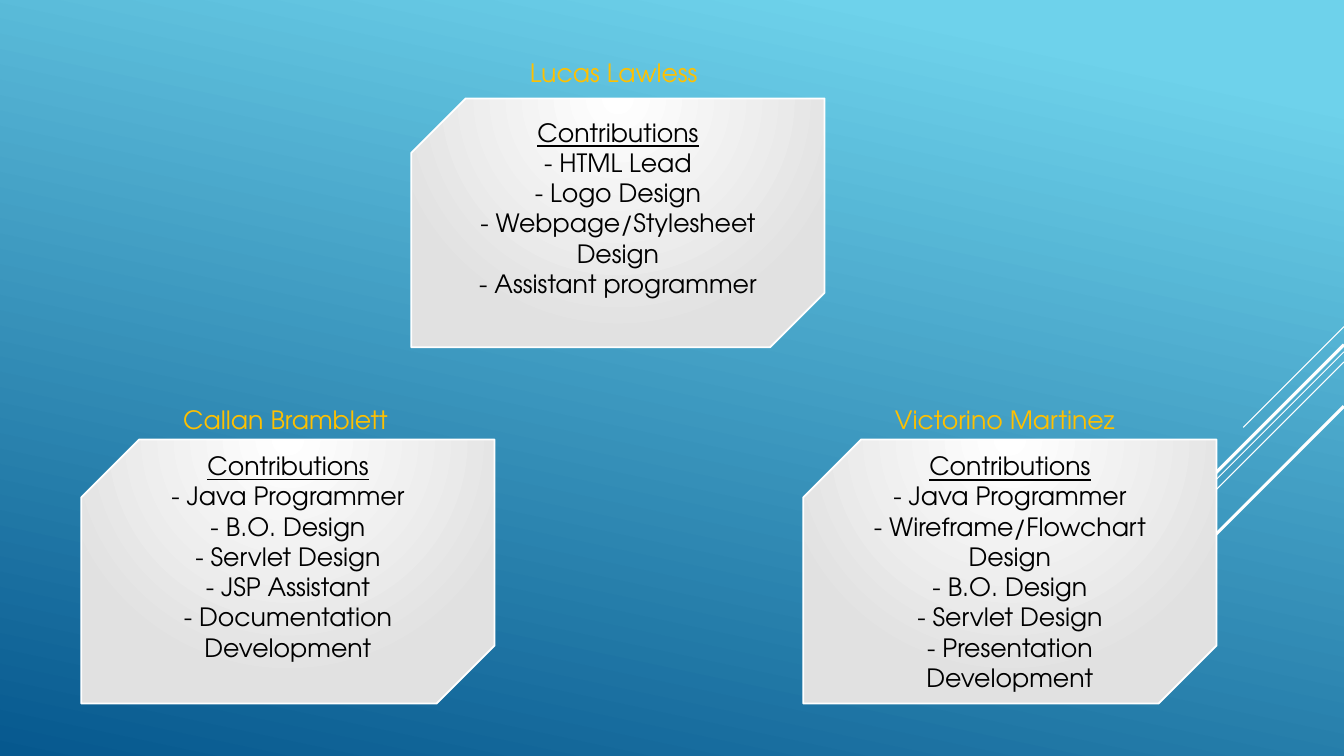
"""Build a slide of team members and their contributions."""
from lxml import etree
from pptx import Presentation
from pptx.dml.color import RGBColor
from pptx.enum import shapes, text
from pptx.oxml import ns
from pptx.util import Pt

# Each member: name, name left, name top, name width, card left, card top, card height, space below text
MEMBERS = [
    ("Lucas Lawless", (371.5, 37.4, 139.7), (293.8, 70.3, 177.8), 25.2,
     ["HTML Lead", "Logo Design", "Webpage/Stylesheet Design", "Assistant programmer"]),
    ("Callan Bramblett", (123.8, 285.1, 164.2), (58.1, 313.9, 188.6), 25.2,
     ["Java Programmer", "B.O. Design", "Servlet Design", "JSP Assistant",
      "Documentation Development"]),
    ("Victorino Martinez", (632.2, 285.1, 177.8), (573.8, 313.9, 188.6), 3.6,
     ["Java Programmer", "Wireframe/Flowchart Design", "B.O. Design", "Servlet Design",
      "Presentation Development"]),
]
HEADING = "Contributions"
STREAKS = [(233.3, 72, 0.75), (251.3, 234.7, 0.75), (258.5, 149, 0.75),
           (246.2, 137.5, 2.25), (290.2, 100, 2.25)]

WIDTH, HEIGHT = 960, 540
CARD_WIDTH, NAME_HEIGHT = 295.2, 29
FONT = "TeX Gyre Adventor"
SKY = RGBColor(0x6E, 0xD2, 0xEB)
NAVY = RGBColor(0x06, 0x58, 0x8E)
WHITE = RGBColor(0xFF, 0xFF, 0xFF)
GREY = RGBColor(0xE1, 0xE1, 0xE1)
BLACK = RGBColor(0, 0, 0)
GOLD = RGBColor(0xFF, 0xC0, 0x00)


def set_gradient(fill, stops):
    fill.gradient()
    for stop, (position, color) in zip(fill.gradient_stops, stops):
        stop.position = position
        stop.color.rgb = color


def style(p, color):
    for r in p.runs:
        r.font.name = FONT
        r.font.size = Pt(18)
        r.font.color.rgb = color


def add_streak(s, top, run, weight):
    line = s.shapes.add_connector(shapes.MSO_CONNECTOR.STRAIGHT,
                                  Pt(WIDTH), Pt(top), Pt(WIDTH - run), Pt(top + run))
    line.line.color.rgb = WHITE
    line.line.width = Pt(weight)
    etree.SubElement(line._element.spPr, ns.qn("a:effectLst"))


def add_name(s, name, left, top, width):
    sp = s.shapes.add_textbox(Pt(left), Pt(top), Pt(width), Pt(NAME_HEIGHT))
    tf = sp.text_frame
    tf.text = name
    tf.word_wrap = False
    style(tf.paragraphs[0], GOLD)


def add_card(s, left, top, height, space_below, items):
    sp = s.shapes.add_shape(shapes.MSO_SHAPE.SNIP_2_DIAG_RECTANGLE,
                            Pt(left), Pt(top), Pt(CARD_WIDTH), Pt(height))
    sp.adjustments[0] = 0.219
    sp.adjustments[1] = 0
    sp.shadow.inherit = False
    sp.line.color.rgb = WHITE
    sp.line.width = Pt(1.25)
    set_gradient(sp.fill, [(0, WHITE), (1, GREY)])
    grad = sp._element.spPr.find(ns.qn("a:gradFill"))
    grad.remove(grad.find(ns.qn("a:lin")))
    glow = etree.SubElement(grad, ns.qn("a:path"), {"path": "circle"})
    etree.SubElement(glow, ns.qn("a:fillToRect"), {"b": "100000"})

    tf = sp.text_frame
    tf.word_wrap = True
    tf.vertical_anchor = text.MSO_ANCHOR.MIDDLE
    tf.margin_bottom = Pt(space_below)
    tf.text = "\n".join([HEADING] + [f"- {item}" for item in items])
    for p in tf.paragraphs:
        p.alignment = text.PP_ALIGN.CENTER
        style(p, BLACK)
    tf.paragraphs[0].runs[0].font.underline = True


def main():
    prs = Presentation()
    prs.slide_width, prs.slide_height = Pt(WIDTH), Pt(HEIGHT)
    s = prs.slides.add_slide(prs.slide_layouts[6])
    set_gradient(s.background.fill, [(0.1, SKY), (1, NAVY)])
    s.background.fill.gradient_angle = 258
    for streak in STREAKS:
        add_streak(s, *streak)
    for name, name_box, card_box, space_below, items in MEMBERS:
        add_card(s, *card_box, space_below, items)
        add_name(s, name, *name_box)
    prs.save("out.pptx")


if __name__ == "__main__":
    main()
